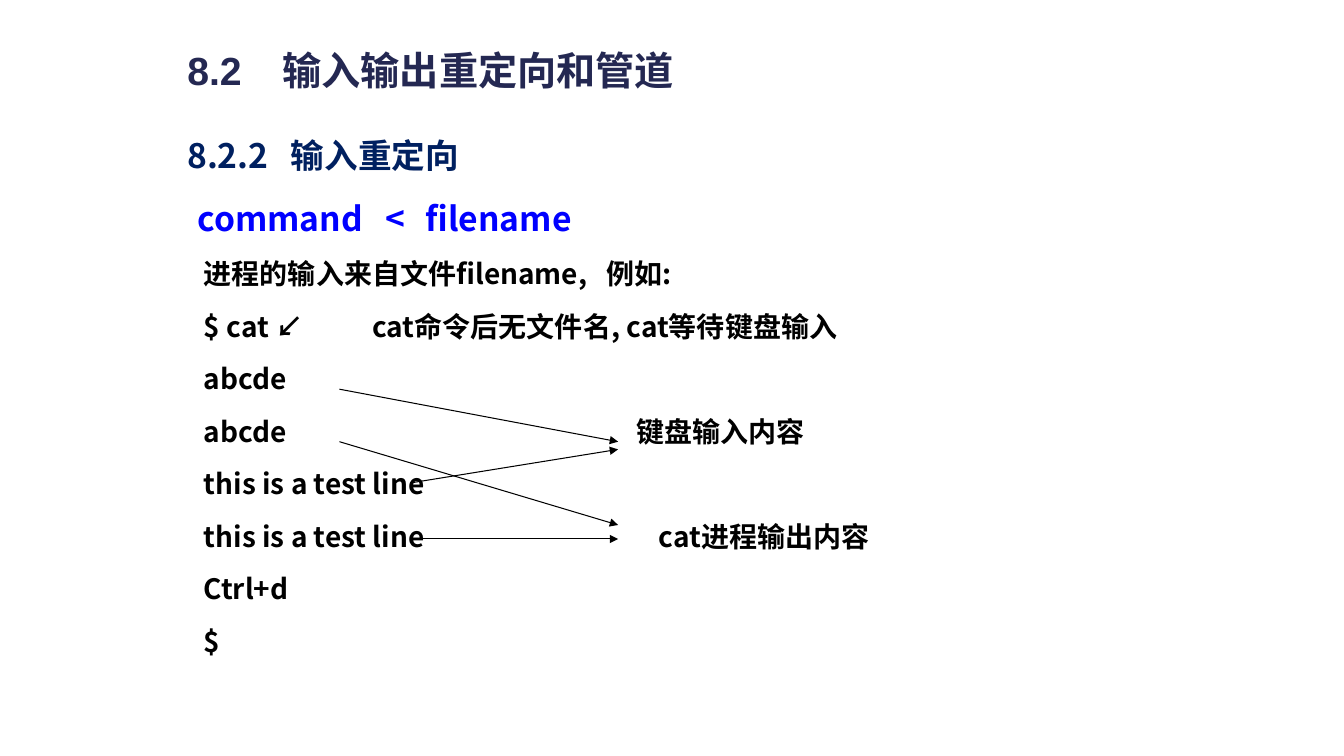
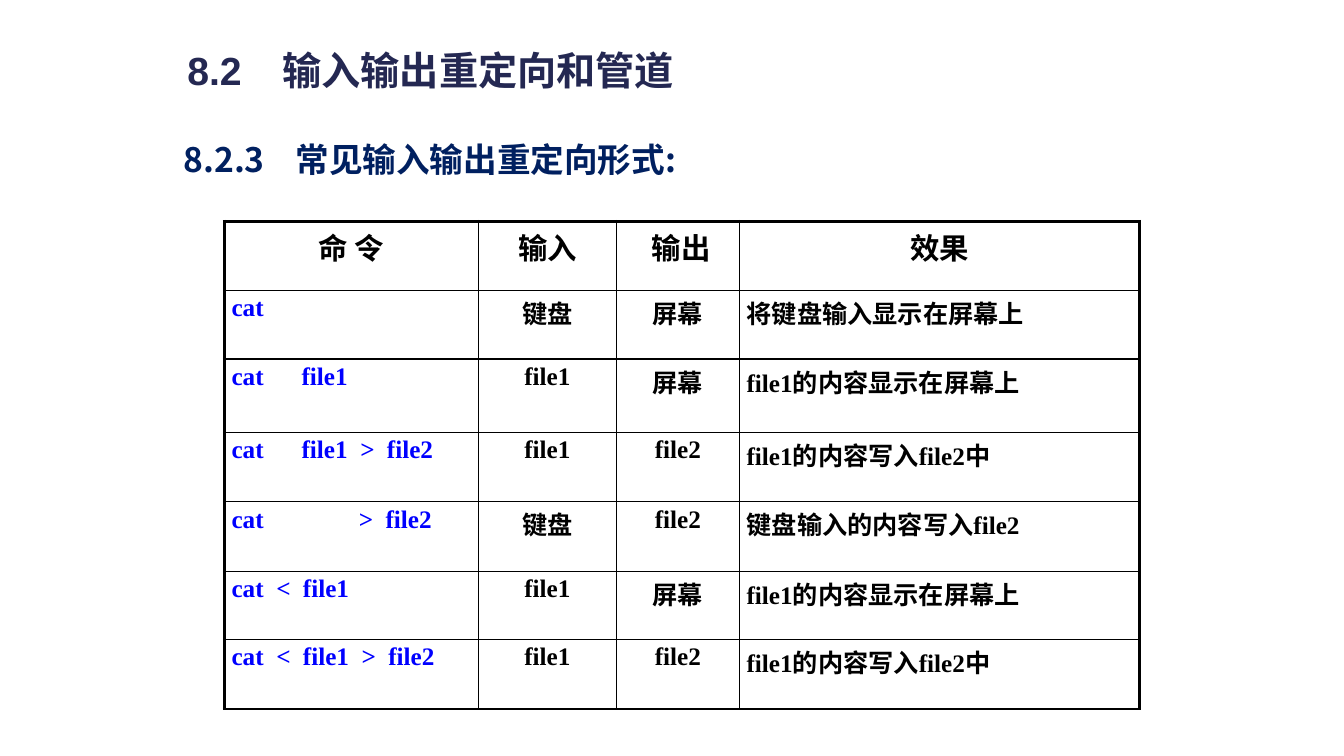
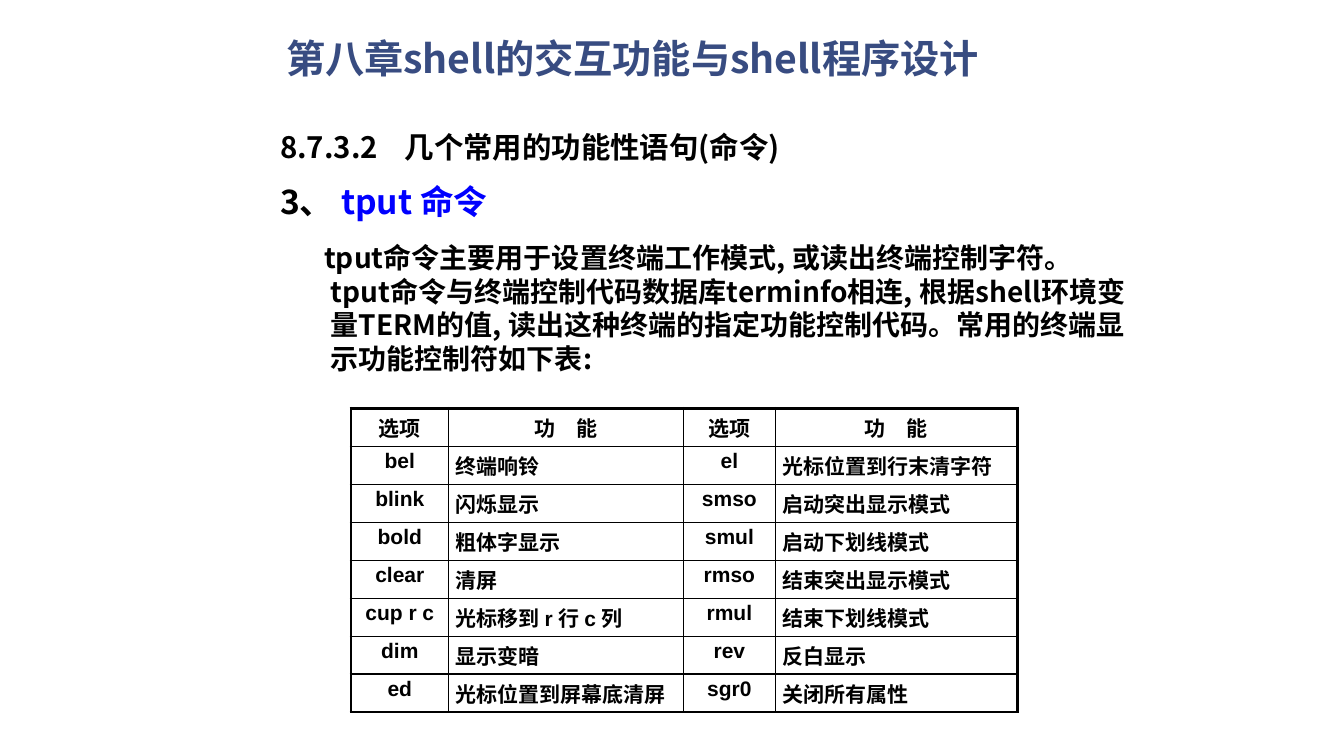
from lxml import etree
from pptx import Presentation
from pptx.dml.color import RGBColor
from pptx.enum.shapes import MSO_CONNECTOR
from pptx.enum.text import MSO_ANCHOR, PP_ALIGN
from pptx.oxml.ns import qn
from pptx.util import Pt

BLACK = RGBColor(0x00, 0x00, 0x00)
BLUE = RGBColor(0x00, 0x00, 0xFF)
NAVY = RGBColor(0x00, 0x20, 0x60)
INDIGO = RGBColor(0x24, 0x28, 0x52)
STEEL = RGBColor(0x38, 0x4C, 0x81)
CJK = "Noto Sans CJK SC"
ARIAL = "Arial"
TIMES = "Times New Roman"
STRAIGHT = MSO_CONNECTOR.STRAIGHT
TOP, MIDDLE = MSO_ANCHOR.TOP, MSO_ANCHOR.MIDDLE
LEFT, CENTER = PP_ALIGN.LEFT, PP_ALIGN.CENTER
THIN, THICK = 1, 2.25
LINE = 1.2
GAP = 13.5


class Deck:
    """Hold the shared style and the current slide."""

    def __init__(self):
        self.prs = Presentation()
        self.prs.slide_width, self.prs.slide_height = Pt(960), Pt(540)
        self.s = None

    def slide(self):
        self.s = self.prs.slides.add_slide(self.prs.slide_layouts[6])

    def paragraph(self, p, runs, size, font=CJK, tabs=(), margin=0, indent=0, **fmt):
        for name, value in fmt.items():
            setattr(p, name, value)
        pPr = p._p.get_or_add_pPr()
        if margin:
            pPr.set("marL", str(Pt(margin)))
            pPr.set("indent", str(Pt(indent)))
        if tabs:
            tab_list = etree.SubElement(pPr, qn("a:tabLst"))
            for pos in tabs:
                etree.SubElement(tab_list, qn("a:tab"), pos=str(Pt(pos)), algn="l")
        for text, color in runs:
            r = p.add_run()
            r.text = text
            for name, value in {"size": Pt(size), "name": font, "bold": True}.items():
                setattr(r.font, name, value)
            r.font.color.rgb = color
            etree.SubElement(r._r.get_or_add_rPr(), qn("a:ea"), typeface=CJK)

    def box(self, x, y, w, h, anchor=TOP):
        tf = self.s.shapes.add_textbox(Pt(x), Pt(y), Pt(w), Pt(h)).text_frame
        tf.word_wrap = True
        tf.vertical_anchor = anchor
        return tf

    def title(self, text, x, y, color, font, tabs=()):
        tf = self.box(x, y, 550, 34.5, MIDDLE)
        self.paragraph(tf.paragraphs[0], [(text, color)], 28, font, tabs, line_spacing=0.9)

    def line(self, text, x, y, w, size, color, tabs=()):
        tf = self.box(x, y, w, size * LINE + 7.2)
        self.paragraph(tf.paragraphs[0], [(text, color)], size, tabs=tabs,
                       line_spacing=Pt(size * LINE))

    def body(self, x, y, w, h, paragraphs):
        tf = self.box(x, y, w, h)
        for i, (runs, size, fmt) in enumerate(paragraphs):
            p = tf.add_paragraph() if i else tf.paragraphs[0]
            self.paragraph(p, runs, size, line_spacing=Pt(size * LINE),
                           space_before=Pt(GAP if i else 0), **fmt)

    def arrow(self, x1, y1, x2, y2):
        c = self.s.shapes.add_connector(STRAIGHT, Pt(x1), Pt(y1), Pt(x2), Pt(y2))
        c.line.color.rgb = BLACK
        c.line.width = Pt(0.75)
        etree.SubElement(c.line._get_or_add_ln(), qn("a:tailEnd"), type="triangle")
        etree.SubElement(c._element.spPr, qn("a:effectLst"))

    def border(self, cell, widths):
        tcPr = cell._tc.get_or_add_tcPr()
        for i, (side, width) in enumerate(widths.items()):
            ln = etree.Element(qn("a:ln" + side), w=str(Pt(width)))
            fill = etree.SubElement(ln, qn("a:solidFill"))
            etree.SubElement(fill, qn("a:srgbClr"), val=str(BLACK))
            tcPr.insert(i, ln)

    def table(self, x, y, cols, rows, data, style):
        frame = self.s.shapes.add_table(len(rows), len(cols), Pt(x), Pt(y),
                                        Pt(sum(cols)), Pt(sum(rows)))
        t = frame.table
        t.first_row = t.horz_banding = False
        for col, w in zip(t.columns, cols):
            col.width = Pt(w)
        for row, h in zip(t.rows, rows):
            row.height = Pt(h)
        margins = {"margin_left": 5.2, "margin_right": 5.2, "margin_top": 2.7, "margin_bottom": 2.7}
        for i, texts in enumerate(data):
            for j, text in enumerate(texts):
                cell = t.cell(i, j)
                cell.fill.background()
                for name, value in margins.items():
                    setattr(cell, name, Pt(value))
                color, fmt = style(i, j)
                self.paragraph(cell.text_frame.paragraphs[0], [(text, color)], **fmt)
                self.border(cell, {
                    "L": THIN if j else THICK,
                    "R": THICK if j == len(cols) - 1 else THIN,
                    "T": THIN if i else THICK,
                    "B": THICK if i == len(rows) - 1 else THIN,
                })


SECTION = "8.2\t输入输出重定向和管道"
REDIRECT_LINES = [
    (" 进程的输入来自文件filename,\t例如:", (292,)),
    (" $ cat ↙\tcat命令后无文件名, cat等待键盘输入", (125,)),
    (" abcde", ()),
    (" abcde", ()),
    (" this is a test line", ()),
    (" this is a test line", ()),
    (" Ctrl+d", ()),
    (" $", ()),
]
LABELS = [("键盘输入内容", 447.8, 292.3), ("cat进程输出内容", 463.5, 367.3)]
ARROWS = [
    (242.5, 315.5, 441.5, 375),
    (293, 345, 441.5, 321),
    (242.5, 278, 441.5, 315.5),
    (293, 385, 441.5, 385),
]
FORMS = [
    ("命 令", "输入", " 输出", "效果"),
    ("cat", "键盘", "屏幕", "将键盘输入显示在屏幕上"),
    ("cat\tfile1", "file1", "屏幕", "file1的内容显示在屏幕上"),
    ("cat\tfile1\t>\tfile2", "file1", "file2", "file1的内容写入file2中"),
    ("cat\t>\tfile2", "键盘", "file2", "键盘输入的内容写入file2"),
    ("cat\t<\tfile1", "file1", "屏幕", "file1的内容显示在屏幕上"),
    ("cat\t<\tfile1\t>\tfile2", "file1", "file2", "file1的内容写入file2中"),
]
FORM_TABS = {2: (50,), 3: (50, 92, 111), 4: (91, 110), 5: (32, 51), 6: (32, 51, 93, 112)}
OPTIONS = [
    ("选项", "功　能", "选项", "功　能"),
    ("bel", "终端响铃", "el", "光标位置到行末清字符"),
    ("blink", "闪烁显示", "smso", "启动突出显示模式"),
    ("bold", "粗体字显示", "smul", "启动下划线模式"),
    ("clear", "清屏", "rmso", "结束突出显示模式"),
    ("cup r c", "光标移到 r 行 c 列", "rmul", "结束下划线模式"),
    ("dim", "显示变暗", "rev", "反白显示"),
    ("ed", "光标位置到屏幕底清屏", "sgr0", "关闭所有属性"),
]
TPUT = ("tput命令主要用于设置终端工作模式, 或读出终端控制字符。 tput命令与终端控制代码数据库"
        "terminfo相连, 根据shell环境变量TERM的值, 读出这种终端的指定功能控制代码。"
        "常用的终端显示功能控制符如下表:")


def form_style(i, j):
    fmt = {"size": 18 if i else 21, "font": TIMES,
           "alignment": CENTER if i == 0 or j in (1, 2) else LEFT,
           "tabs": FORM_TABS.get(i, ()) if j == 0 else ()}
    return BLUE if i and j == 0 else BLACK, fmt


def option_style(i, j):
    return BLACK, {"size": 15, "font": ARIAL,
                   "alignment": CENTER if i == 0 or j in (0, 2) else LEFT}


def main():
    d = Deck()

    d.slide()
    d.title(SECTION, 126.7, 35, INDIGO, ARIAL, (68,))
    d.line("8.2.2\t输入重定向", 126.7, 92.5, 440, 24, NAVY, (74,))
    command = ([("command\t<\tfilename", BLUE)], 24, {"tabs": (134, 163)})
    d.body(134, 137.5, 615, 333, [command] + [
        ([(text, BLACK)], 20, {"tabs": tabs}) for text, tabs in REDIRECT_LINES])
    for text, x, y in LABELS:
        d.line(text, x, y, 200, 20, BLACK)
    for ends in ARROWS:
        d.arrow(*ends)

    d.slide()
    d.title(SECTION, 126.7, 35, INDIGO, ARIAL, (68,))
    d.line("8.2.3\t常见输入输出重定向形式:", 124, 95.5, 440, 24, NAVY, (80,))
    d.table(160.2, 158, (181.5, 98.7, 87.8, 285.8),
            (49.5, 49, 52.5, 49.5, 49.5, 49, 49.5), FORMS, form_style)

    d.slide()
    d.title("第八章shell的交互功能与shell程序设计", 197.3, 26.5, STEEL, CJK)
    d.line("8.7.3.2\t几个常用的功能性语句(命令)", 193, 89, 440, 21, BLACK, (89,))
    d.body(193, 126, 620, 330, [
        ([("3、 ", BLACK), ("tput 命令", BLUE)], 24, {}),
        ([(TPUT, BLACK)], 20, {"margin": 36, "indent": -4.5}),
    ])
    d.table(250.7, 291.6, (69.8, 167.8, 65.5, 172.8), (27.15,) * len(OPTIONS),
            OPTIONS, option_style)

    d.prs.save("out.pptx")


if __name__ == "__main__":
    main()
